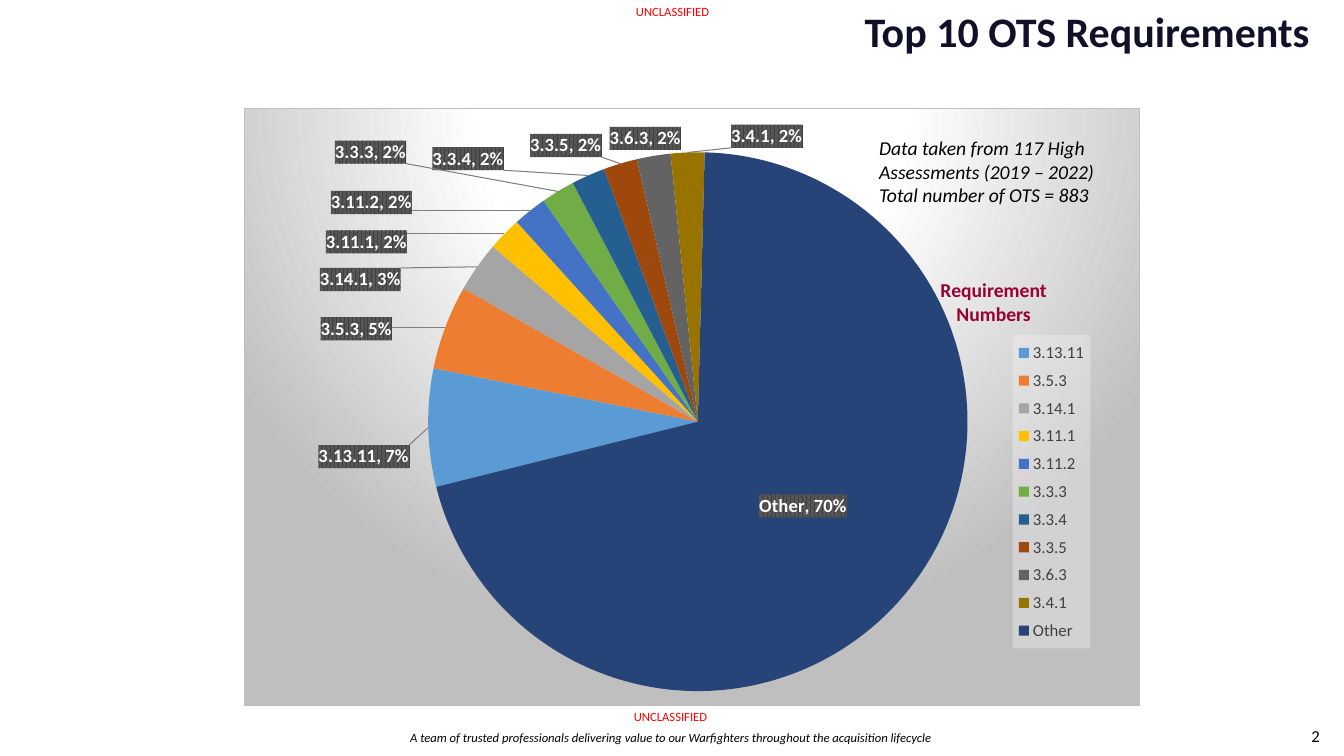
import math
from pptx import Presentation
from pptx.chart.data import CategoryChartData
from pptx.dml.color import RGBColor
from pptx.enum.chart import XL_CHART_TYPE, XL_LEGEND_POSITION
from pptx.enum.text import MSO_ANCHOR, PP_ALIGN
from pptx.oxml import parse_xml
from pptx.util import Inches, Pt

PIE = XL_CHART_TYPE.PIE
LEGEND_RIGHT = XL_LEGEND_POSITION.RIGHT
TOP, MIDDLE = MSO_ANCHOR.TOP, MSO_ANCHOR.MIDDLE
LEFT, CENTER, RIGHT = PP_ALIGN.LEFT, PP_ALIGN.CENTER, PP_ALIGN.RIGHT

WIDTH, HEIGHT = Inches(13.33), Inches(7.5)
FONT = "Calibri"
COLORS = {
    "black": "000000", "title": "101129", "marking": "FF0000",
    "heading": "990033", "white": "FFFFFF", "grey": "BFBFBF",
    "legend": "404040", "legend_fill": "F2F2F2",
    "label_dark": "404040", "label_light": "595959", "leader": "7F7F7F",
}
# Requirement, value, slice colour, centre of its label in percent of the chart
REQUIREMENTS = [
    ("3.13.11", 7, "5B9BD5", (13.95, 58.36)),
    ("3.5.3", 5, "ED7D31", (13.06, 37.29)),
    ("3.14.1", 3, "A5A5A5", (13.45, 29.26)),
    ("3.11.1", 2, "FFC000", (14.06, 23.08)),
    ("3.11.2", 2, "4472C4", (14.56, 16.56)),
    ("3.3.3", 2, "70AD47", (14.4, 8.19)),
    ("3.3.4", 2, "255E91", (25.22, 9.36)),
    ("3.3.5", 2, "9E480E", (36.05, 7.19)),
    ("3.6.3", 2, "636363", (44.87, 6.02)),
    ("3.4.1", 2, "997300", (58.37, 5.69)),
    ("Other", 70, "264478", None),
]
START_ANGLE = 256
PLOT = (20.5, 7.36, 60.3, 90.3)
LEGEND = (85.8, 38, 8.7, 52.5)
LABEL_HEIGHT = 3.85
NAMESPACES = ('xmlns:c="http://schemas.openxmlformats.org/drawingml/2006/chart" '
              'xmlns:a="http://schemas.openxmlformats.org/drawingml/2006/main"')


def rgb(name):
    return RGBColor.from_string(COLORS[name])


def place(left, top, width, height):
    """Turn percent of the slide into lengths."""
    return (int(WIDTH * left / 100), int(HEIGHT * top / 100),
            int(WIDTH * width / 100), int(HEIGHT * height / 100))


def add_text(page, area, lines, size, color, align=LEFT, anchor=TOP,
             bold=False, italic=False, spacing=None, inset=True):
    box = page.shapes.add_textbox(*place(*area))
    frame = box.text_frame
    frame.word_wrap = True
    frame.vertical_anchor = anchor
    if not inset:
        frame.margin_left = frame.margin_right = 0
        frame.margin_top = frame.margin_bottom = 0
    for index, line in enumerate(lines):
        para = frame.add_paragraph() if index else frame.paragraphs[0]
        para.alignment = align
        para.line_spacing = spacing
        span = para.add_run()
        span.text = line
        span.font.name, span.font.size = FONT, Pt(size)
        span.font.bold, span.font.italic = bold, italic
        span.font.color.rgb = rgb(color)


def chart_xml(markup):
    """Parse one element, declaring the chart namespaces on it."""
    tag = markup.split(">", 1)[0].split()[0]
    return parse_xml(markup.replace(tag, f"{tag} {NAMESPACES}", 1))


def solid(name, extra=""):
    return f'<a:solidFill><a:srgbClr val="{COLORS[name]}">{extra}</a:srgbClr></a:solidFill>'


def layout(area, inner=False):
    target = '<c:layoutTarget val="inner"/>' if inner else ""
    sizes = "".join(f'<c:{tag} val="{share / 100:.4f}"/>' for tag, share in zip("xywh", area))
    return (f'<c:layout><c:manualLayout>{target}<c:xMode val="edge"/>'
            f'<c:yMode val="edge"/>{sizes}</c:manualLayout></c:layout>')


def direction(share):
    """Sign of a share of the radius, or 0 within five degrees of an axis."""
    return 0 if abs(share) < math.sin(math.radians(5)) else math.copysign(1, share)


def label_offset(index):
    """Shift from the outside end of a slice to the wanted label centre."""
    values = [row[1] for row in REQUIREMENTS]
    turn = 360 * (sum(values[:index]) + values[index] / 2) / sum(values)
    angle = math.radians(START_ANGLE + turn)
    left, top, width, height = PLOT
    across, down = math.sin(angle), -math.cos(angle)
    name, _, _, (goal_x, goal_y) = REQUIREMENTS[index]
    label_width = 8 + 1.05 * (len(name) - 5)
    start_x = left + width / 2 * (1 + across) + direction(across) * label_width / 2
    start_y = top + height / 2 * (1 + down) + direction(down) * LABEL_HEIGHT / 2
    return (goal_x - start_x) / 100, (goal_y - start_y) / 100


def label_markup():
    face = f'{solid("white")}<a:latin typeface="{FONT}"/>'
    fill = (f'<c:spPr><a:pattFill prst="pct75"><a:fgClr><a:srgbClr val="{COLORS["label_dark"]}"/>'
            f'</a:fgClr><a:bgClr><a:srgbClr val="{COLORS["label_light"]}"/></a:bgClr>'
            '</a:pattFill><a:ln><a:noFill/></a:ln></c:spPr>')
    style = (f'{fill}<c:txPr><a:bodyPr/><a:p><a:pPr><a:defRPr sz="1330" b="1">{face}'
             '</a:defRPr></a:pPr><a:endParaRPr lang="en-US"/></a:p></c:txPr>')
    show = ('<c:showLegendKey val="0"/><c:showVal val="0"/><c:showCatName val="1"/>'
            '<c:showSerName val="0"/><c:showPercent val="1"/><c:showBubbleSize val="0"/>'
            '<c:separator>, </c:separator>')
    labels = ""
    for index, (name, value, _, goal) in enumerate(REQUIREMENTS):
        if goal:
            x, y = label_offset(index)
            content = (f'<c:layout><c:manualLayout><c:x val="{x:.4f}"/><c:y val="{y:.4f}"/>'
                       f'</c:manualLayout></c:layout>{style}<c:dLblPos val="outEnd"/>')
        else:
            content = (f'<c:tx><c:rich><a:bodyPr/><a:p><a:r><a:rPr lang="en-US" sz="1330" b="1">'
                       f'{face}</a:rPr><a:t>{name}, {value}%</a:t></a:r></a:p></c:rich></c:tx>'
                       f'{fill}<c:dLblPos val="ctr"/>')
        labels += f'<c:dLbl><c:idx val="{index}"/>{content}{show}</c:dLbl>'
    return (f'<c:dLbls>{labels}{style}<c:dLblPos val="ctr"/>{show}'
            '<c:showLeaderLines val="1"/><c:leaderLines><c:spPr><a:ln w="9525">'
            f'{solid("leader")}</a:ln></c:spPr></c:leaderLines></c:dLbls>')


def remove_children(element, tag):
    for child in element.findall("{*}" + tag):
        element.remove(child)


def style_legend(chart):
    chart.has_legend = True
    legend = chart.legend
    legend.position = LEGEND_RIGHT
    legend.include_in_layout = False
    legend.font.name, legend.font.size = FONT, Pt(12)
    legend.font.color.rgb = rgb("legend")
    remove_children(legend._element, "layout")
    overlay = legend._element.find("{*}overlay")
    overlay.addprevious(chart_xml(layout(LEGEND)))
    fill = solid("legend_fill", '<a:alpha val="39000"/>')
    overlay.addnext(chart_xml(f"<c:spPr>{fill}</c:spPr>"))


def style_background(chart):
    stops = "".join(
        f'<a:gs pos="{percent * 1000}"><a:srgbClr val="{COLORS[name]}"/></a:gs>'
        for percent, name in ((0, "white"), (39, "white"), (100, "grey")))
    chart._chartSpace.find("{*}chart").addnext(chart_xml(
        f'<c:spPr><a:gradFill><a:gsLst>{stops}</a:gsLst><a:path path="circle">'
        '<a:fillToRect l="50000" t="-80000" r="50000" b="180000"/></a:path></a:gradFill>'
        f'<a:ln w="9525">{solid("grey")}</a:ln></c:spPr>'))


def add_requirements_pie(page, area):
    data = CategoryChartData()
    data.categories = [row[0] for row in REQUIREMENTS]
    data.add_series("Series 1", [row[1] for row in REQUIREMENTS])
    chart = page.shapes.add_chart(PIE, *place(*area), data).chart
    chart.has_title = False
    chart.font.name, chart.font.size = FONT, Pt(10)
    chart.font.color.rgb = rgb("black")
    plot = chart.plots[0]
    plot.vary_by_categories = True
    series = plot.series[0]
    for index, (_, _, color, _) in enumerate(REQUIREMENTS):
        fill = series.points[index].format.fill
        fill.solid()
        fill.fore_color.rgb = RGBColor.from_string(color)
    series._element.find("{*}cat").addprevious(chart_xml(label_markup()))
    pie = plot._element
    remove_children(pie, "firstSliceAng")
    pie.append(chart_xml(f'<c:firstSliceAng val="{START_ANGLE}"/>'))
    plot_area = pie.getparent()
    remove_children(plot_area, "layout")
    plot_area.insert(0, chart_xml(layout(PLOT, inner=True)))
    style_legend(chart)
    style_background(chart)


def main():
    deck = Presentation()
    deck.slide_width, deck.slide_height = WIDTH, HEIGHT
    page = deck.slides.add_slide(deck.slide_layouts[6])
    add_text(page, (30.31, 95.73, 39.16, 3.6),
             ["A team of trusted professionals delivering value to our Warfighters "
              "throughout the acquisition lifecycle"],
             9, "black", CENTER, MIDDLE, italic=True, inset=False)
    add_text(page, (76.44, 94.67, 22.51, 5.33), ["2"], 12, "black", RIGHT, MIDDLE)
    add_text(page, (31.21, 0, 66.99, 8.93), ["Top 10 OTS Requirements"],
             30, "title", RIGHT, MIDDLE, bold=True, spacing=0.9)
    for left, top in ((36.61, 93.33), (36.76, 0.13)):
        add_text(page, (left, top, 26.56, 3), ["UNCLASSIFIED"],
                 9, "marking", CENTER, spacing=0.9)
    add_requirements_pie(page, (18.15, 14.27, 66.69, 79.07))
    add_text(page, (64.67, 17.33, 18.45, 10.8),
             ["Data taken from 117 High Assessments (2019 – 2022)", "Total number of OTS = 883"],
             14, "black", italic=True)
    add_text(page, (68.87, 36.13, 10.13, 7.6), ["Requirement Numbers"],
             14, "heading", CENTER, bold=True)
    deck.save("out.pptx")


if __name__ == "__main__":
    main()
